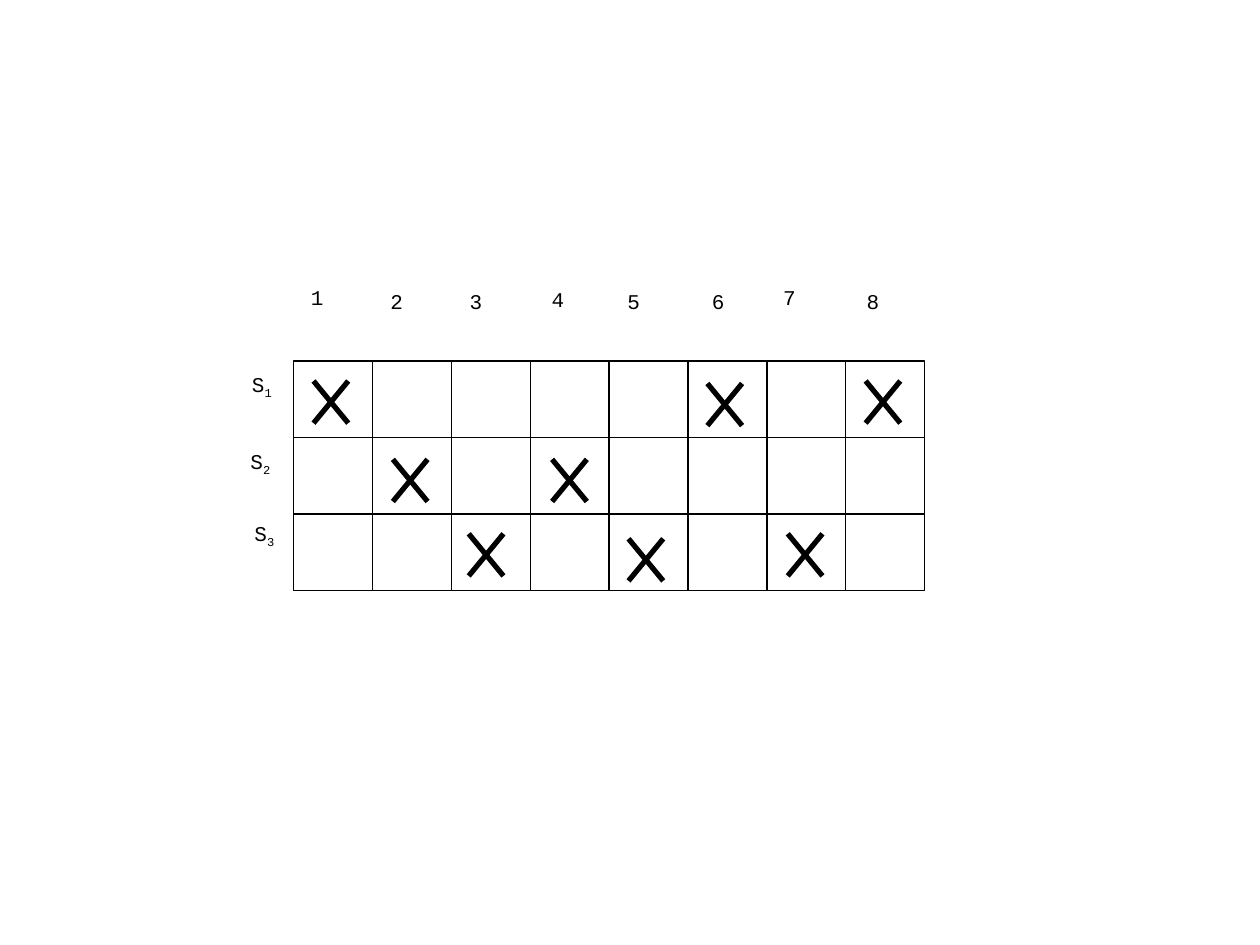
from lxml.etree import SubElement
from pptx import Presentation
from pptx.dml.color import RGBColor
from pptx.enum.shapes import MSO_CONNECTOR, MSO_SHAPE
from pptx.oxml.ns import qn
from pptx.util import Cm, Pt

BLACK = "000000"
FONT = {"name": "Courier New", "size": Pt(12)}

# Text, left, top (cm)
COLUMN_LABELS = [
    ("1", 6.02, 5.61), ("2", 7.62, 5.7), ("3", 9.22, 5.7), ("4", 10.87, 5.66),
    ("5", 12.4, 5.7), ("6", 14.1, 5.7), ("7", 15.54, 5.61), ("8", 17.22, 5.7),
]
# Subscript, left, top (cm)
ROW_LABELS = [("1", 4.83, 7.37), ("2", 4.8, 8.92), ("3", 4.88, 10.36)]
# Left, top (cm) of the cross in each column
CROSSES = [
    (6.32, 7.68), (7.92, 9.26), (9.45, 10.76), (11.13, 9.26),
    (12.67, 10.86), (14.26, 7.73), (15.88, 10.76), (17.45, 7.68),
]

GRID_LEFT, GRID_TOP = 5.92, 7.28
CELL_WIDTH, CELL_HEIGHT = 1.59, 1.54
LABEL_WIDTH, LABEL_HEIGHT = 1.32, 1.37
CROSS_WIDTH, CROSS_HEIGHT = 0.7, 0.85


def color(hex_value):
    return RGBColor.from_string(hex_value)


def set_line(shape, width):
    shape.line.color.rgb = color(BLACK)
    shape.line.width = Pt(width)


def add_cell(slide, column, row):
    shape = slide.shapes.add_shape(
        MSO_SHAPE.RECTANGLE,
        Cm(GRID_LEFT + column * CELL_WIDTH), Cm(GRID_TOP + row * CELL_HEIGHT),
        Cm(CELL_WIDTH), Cm(CELL_HEIGHT))
    shape.shadow.inherit = False
    shape.fill.background()
    set_line(shape, 0.75)


def add_label(slide, text, left, top, subscript=""):
    box = slide.shapes.add_textbox(
        Cm(left), Cm(top), Cm(LABEL_WIDTH), Cm(LABEL_HEIGHT))
    box.text_frame.word_wrap = True
    paragraph = box.text_frame.paragraphs[0]
    for part, baseline in ((text, None), (subscript, "-25000")):
        if not part:
            continue
        run = paragraph.add_run()
        run.text = part
        for name, value in FONT.items():
            setattr(run.font, name, value)
        run.font.color.rgb = color(BLACK)
        if baseline:
            run.font._element.set("baseline", baseline)


def add_cross(slide, left, top):
    right, bottom = left + CROSS_WIDTH, top + CROSS_HEIGHT
    for start, end in ((left, right), (right, left)):
        connector = slide.shapes.add_connector(
            MSO_CONNECTOR.STRAIGHT, Cm(start), Cm(top), Cm(end), Cm(bottom))
        set_line(connector, 3)
        SubElement(connector._element.spPr, qn("a:effectLst"))


def main():
    presentation = Presentation()
    presentation.slide_width, presentation.slide_height = Cm(25.4), Cm(19.05)
    slide = presentation.slides.add_slide(presentation.slide_layouts[6])

    for row in range(len(ROW_LABELS)):
        for column in range(len(COLUMN_LABELS)):
            add_cell(slide, column, row)
    for subscript, left, top in ROW_LABELS:
        add_label(slide, "S", left, top, subscript)
    for text, left, top in COLUMN_LABELS:
        add_label(slide, text, left, top)
    for left, top in CROSSES:
        add_cross(slide, left, top)

    presentation.save("out.pptx")


if __name__ == "__main__":
    main()
